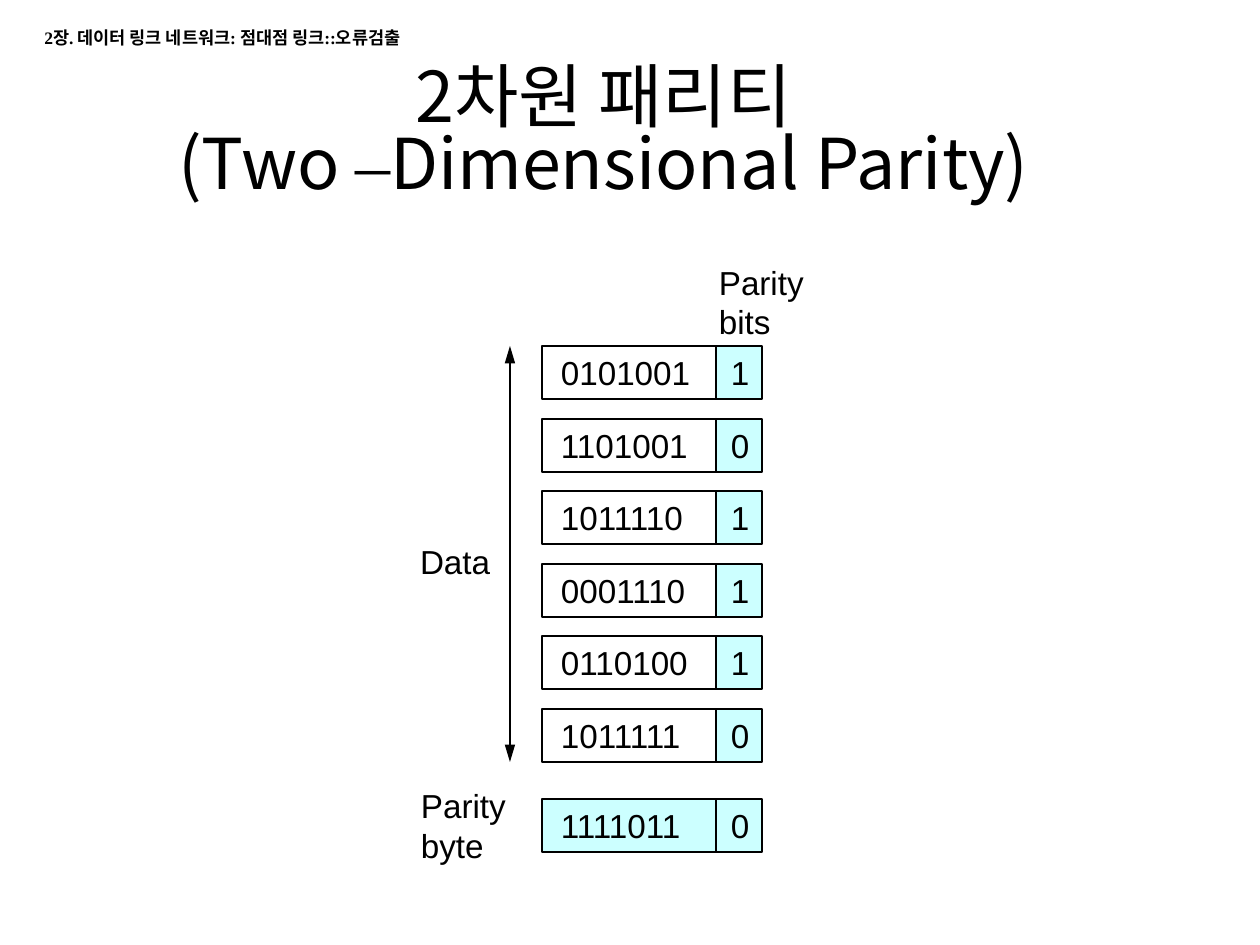
from dataclasses import dataclass

from lxml.etree import SubElement
from pptx import Presentation
from pptx.dml.color import RGBColor as RGB
from pptx.enum.shapes import MSO_CONNECTOR as CONN, MSO_SHAPE as SHAPE
from pptx.enum.text import MSO_ANCHOR as ANCHOR, PP_ALIGN as ALIGN
from pptx.oxml.ns import qn
from pptx.util import Emu, Pt


@dataclass(frozen=True)
class Theme:
    ink: RGB = RGB(0, 0, 0)
    parity: RGB = RGB(0xCC, 0xFF, 0xFF)
    sans: str = "Arial"
    serif: str = "Times New Roman"
    korean: str = "Noto Sans CJK KR"
    title: int = 40
    body: int = 19
    header: int = 10
    stroke: float = 1.13


def px(n):
    return Emu(round(n * 914400 / 126))


class Painter:
    def __init__(self, slide, theme):
        self.s, self.t = slide, theme

    def text(self, x, y, w, h, runs, size, inset=(0, 0), bold=False, frame=None, para=None):
        """Place one paragraph made of (text, font) runs."""
        tf = self.s.shapes.add_textbox(*map(px, (x, y, w, h))).text_frame
        dx, dy = map(px, inset)
        box = {"word_wrap": False, "margin_left": dx, "margin_right": dx,
               "margin_top": dy, "margin_bottom": dy, **(frame or {})}
        for name, value in box.items():
            setattr(tf, name, value)
        p = tf.paragraphs[0]
        for name, value in (para or {}).items():
            setattr(p, name, value)
        for i, line in enumerate(runs):
            if i:
                p.add_line_break()
            for words, font in line:
                r = p.add_run()
                r.text = words
                for name, value in {"size": Pt(size), "name": font, "bold": bold}.items():
                    setattr(r.font, name, value)
                r.font.color.rgb = self.t.ink
                SubElement(r.font._element, qn("a:ea")).set("typeface", self.t.korean)

    def label(self, x, y, w, words):
        self.text(x, y, w, 40, [[(words, self.t.sans)]], self.t.body)

    def rect(self, x, y, w, h, fill=None, outline=False):
        sp = self.s.shapes.add_shape(SHAPE.RECTANGLE, *map(px, (x, y, w, h)))
        sp.shadow.inherit = False
        if fill is None:
            sp.fill.background()
        else:
            sp.fill.solid()
            sp.fill.fore_color.rgb = fill
        if outline:
            self.stroke(sp.line)
        else:
            sp.line.fill.background()

    def stroke(self, line):
        line.width = Pt(self.t.stroke)
        line.color.rgb = self.t.ink

    def line(self, x1, y1, x2, y2, arrows=False):
        cxn = self.s.shapes.add_connector(CONN.STRAIGHT, *map(px, (x1, y1, x2, y2)))
        self.stroke(cxn.line)
        sp_pr = cxn._element.spPr
        if arrows:
            for end in ("a:headEnd", "a:tailEnd"):
                head = SubElement(sp_pr.find(qn("a:ln")), qn(end))
                for name, value in {"type": "triangle", "w": "med", "len": "lg"}.items():
                    head.set(name, value)
        SubElement(sp_pr, qn("a:effectLst"))

    def row(self, y, bits, parity, all_parity=False):
        """Draw seven bits and their parity bit in one frame."""
        left, split, right, height = 542, 716, 762, 53
        start = left if all_parity else split
        self.rect(start, y, right - start, height, self.t.parity)
        self.rect(left, y, right - left, height, outline=True)
        self.line(split, y, split, y + height)
        self.label(left + 19, y + 6, 130, bits)
        self.label(split + 15, y + 6, 19, parity)


def main():
    prs = Presentation()
    prs.slide_width, prs.slide_height = px(1260), px(945)
    t = Theme()
    d = Painter(prs.slides.add_slide(prs.slide_layouts[6]), t)

    # Header and title
    d.text(32, 21, 557, 34, [[("2장. 데이터 링크 네트워크: 점대점 링크::오류검출", t.serif)]],
           t.header, inset=(12.6, 6.3), bold=True, frame={"word_wrap": True})
    d.text(73, 73, 1061, 126,
           [[("2차원 패리티", t.korean)],
            [("(Two ", t.korean), ("–", t.serif), ("Dimensional Parity)", t.korean)]],
           t.title, inset=(12.6, 6.3),
           frame={"word_wrap": True, "vertical_anchor": ANCHOR.MIDDLE},
           para={"alignment": ALIGN.CENTER, "line_spacing": 0.8})

    # Data rows, evenly spaced, then the parity byte
    top, pitch = 346, 72.6
    rows = ["01010011", "11010010", "10111101", "00011101", "01101001", "10111110"]
    for i, bits in enumerate(rows):
        d.row(round(top + i * pitch), bits[:7], bits[7])
    d.row(799, "1111011", "0", all_parity=True)

    # Labels and the extent of the data
    for x, y, w, words in [(719, 262, 86, "Parity"), (719, 301, 52, "bits"),
                           (421, 785, 86, "Parity"), (421, 825, 63, "byte"),
                           (420, 541, 71, "Data")]:
        d.label(x, y, w, words)
    d.line(510, top, 510, 762, arrows=True)

    prs.save("out.pptx")


if __name__ == "__main__":
    main()
